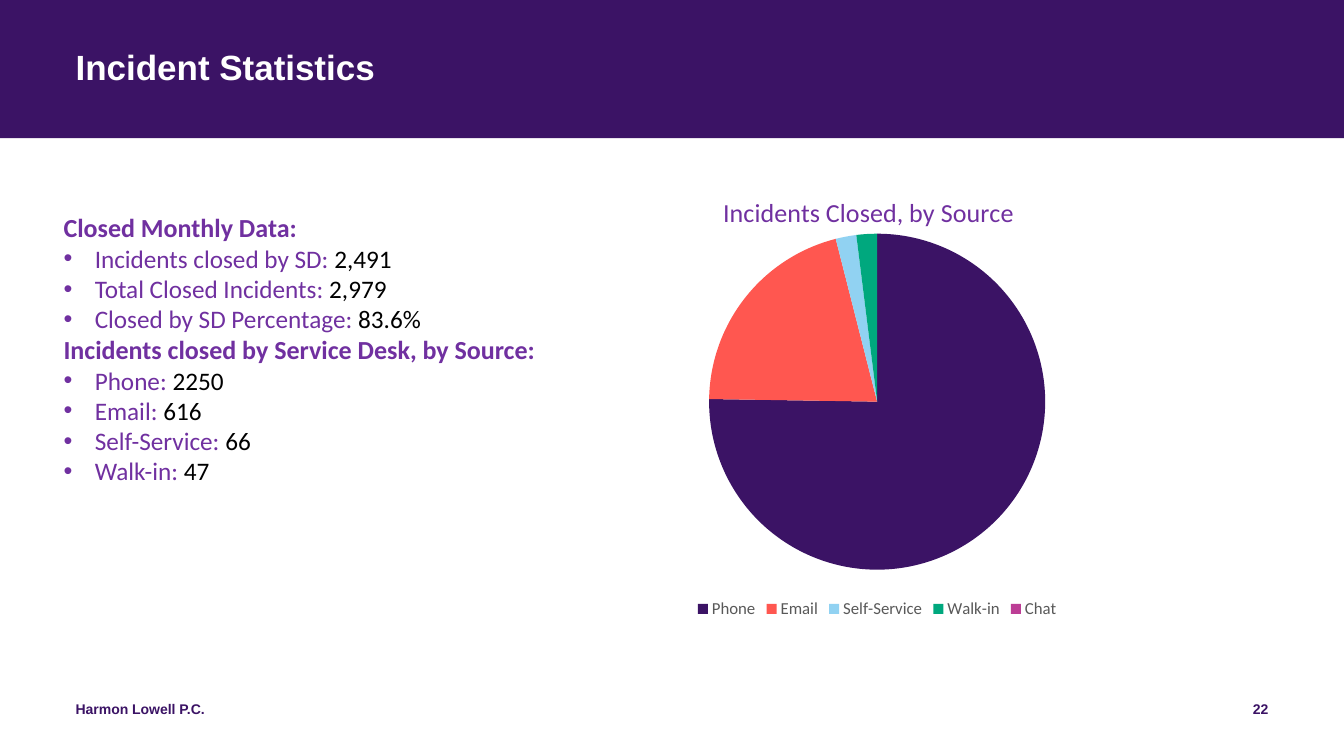
from dataclasses import dataclass

from lxml import etree
from pptx import Presentation
from pptx.chart.data import CategoryChartData
from pptx.dml.color import RGBColor
from pptx.enum import chart as ch, shapes, text
from pptx.oxml import ns
from pptx.util import Inches, Pt

INDIGO, PURPLE, BLACK, WHITE, GREY = "3B1365", "7030A0", "000000", "FFFFFF", "595959"


@dataclass(frozen=True)
class Section:
    heading: str
    items: dict[str, str]


@dataclass(frozen=True)
class Slice:
    source: str
    percent: int
    color: str


@dataclass(frozen=True)
class FooterItem:
    label: str
    left: float
    width: float
    align: text.PP_ALIGN


SECTIONS = [
    Section("Closed Monthly Data:", {
        "Incidents closed by SD": "2,491",
        "Total Closed Incidents": "2,979",
        "Closed by SD Percentage": "83.6%",
    }),
    Section("Incidents closed by Service Desk, by Source:", {
        "Phone": "2250", "Email": "616", "Self-Service": "66", "Walk-in": "47",
    }),
]
SLICES = [
    Slice("Phone", 76, INDIGO),
    Slice("Email", 21, "FF5750"),
    Slice("Self-Service", 2, "91D2F2"),
    Slice("Walk-in", 2, "00A87E"),
    Slice("Chat", 0, "BC3D95"),
]
FOOTER = [
    FooterItem("Harmon Lowell P.C.", 0.75, 4.5, text.PP_ALIGN.LEFT),
    FooterItem("22", 9.58, 3, text.PP_ALIGN.RIGHT),
]


def rgb(color: str) -> RGBColor:
    return RGBColor.from_string(color)


def set_all(target, values: dict) -> None:
    for name, value in values.items():
        setattr(target, name, value)


def style(font, size: float, color: str, name: str = "Calibri", bold: bool = False) -> None:
    set_all(font, {"size": Pt(size), "name": name, "bold": bold})
    font.color.rgb = rgb(color)


def place(sp, left: float, top: float, width: float, height: float) -> None:
    set_all(sp, {"left": Inches(left), "top": Inches(top),
                 "width": Inches(width), "height": Inches(height)})


def frame(tf, inset_x: float = 0, inset_y: float = 0) -> None:
    """Wrap the text, anchor it at the top and set its insets."""
    x, y = Inches(inset_x), Inches(inset_y)
    set_all(tf, {"margin_left": x, "margin_right": x, "margin_top": y, "margin_bottom": y,
                 "word_wrap": True, "vertical_anchor": text.MSO_ANCHOR.TOP,
                 "auto_size": text.MSO_AUTO_SIZE.NONE})


def add_run(p, words: str, size: float, color: str, **font) -> None:
    r = p.add_run()
    r.text = words
    style(r.font, size, color, **font)


def set_bullet(p, char: str = "") -> None:
    """Give the paragraph a hanging bullet, or none."""
    pPr = p._p.get_or_add_pPr()
    indent = Inches(0.31) if char else 0
    pPr.set("marL", str(indent))
    pPr.set("indent", str(-indent))
    if char:
        etree.SubElement(pPr, ns.qn("a:buChar")).set("char", char)
    else:
        etree.SubElement(pPr, ns.qn("a:buNone"))


def set_layout(element, **fractions: float) -> None:
    """Place a chart part by fractions of the chart's size."""
    layout = element.find(ns.qn("c:layout"))
    if layout is None:
        layout = etree.Element(ns.qn("c:layout"))
        tx = element.find(ns.qn("c:tx"))
        element.insert(0 if tx is None else 1, layout)
    manual = etree.SubElement(layout, ns.qn("c:manualLayout"))
    modes = {"xMode": "edge", "yMode": "edge"}
    if "w" in fractions:
        modes = {"layoutTarget": "inner", **modes}
    for tag, value in {**modes, **fractions}.items():
        etree.SubElement(manual, ns.qn(f"c:{tag}")).set("val", str(value))


def add_band(s, title) -> None:
    band = s.shapes.add_shape(shapes.MSO_SHAPE.RECTANGLE, 0, 0, Inches(13.33), Inches(1.37))
    band.shadow.inherit = False
    band.fill.solid()
    band.fill.fore_color.rgb = rgb(INDIGO)
    band.line.fill.background()
    title._element.addprevious(band._element)


def fill_title(sp) -> None:
    place(sp, 0.75, 0.5, 11.83, 0.81)
    frame(sp.text_frame)
    p = sp.text_frame.paragraphs[0]
    set_all(p, {"alignment": text.PP_ALIGN.LEFT, "line_spacing": 0.9})
    add_run(p, "Incident Statistics", 25, WHITE, name="Arial", bold=True)


def fill_body(sp) -> None:
    place(sp, 0.53, 2.05, 4.95, 3.12)
    tf = sp.text_frame
    frame(tf, 0.1, 0.05)
    p = tf.paragraphs[0]
    for section in SECTIONS:
        if p.runs:
            p = tf.add_paragraph()
        p.space_before = Pt(0)
        set_bullet(p)
        add_run(p, section.heading, 18.6, PURPLE, bold=True)
        for label, value in section.items.items():
            p = tf.add_paragraph()
            p.space_before = Pt(0)
            set_bullet(p, "•")
            add_run(p, f"{label}: ", 18, PURPLE)
            add_run(p, value, 18, BLACK)


def add_pie(s) -> None:
    data = CategoryChartData()
    data.categories = [part.source for part in SLICES]
    data.add_series("Series 1", [part.percent for part in SLICES])
    chart = s.shapes.add_chart(ch.XL_CHART_TYPE.PIE, Inches(4.07), Inches(1.61),
                               Inches(9.26), Inches(4.57), data).chart
    style(chart.font, 10, BLACK)

    chart.has_title = True
    add_run(chart.chart_title.text_frame.paragraphs[0],
            "Incidents Closed, by Source", 18.6, PURPLE)
    set_layout(chart.chart_title._element, x=0.33, y=0.06)

    chart.has_legend = True
    set_all(chart.legend, {"position": ch.XL_LEGEND_POSITION.BOTTOM, "include_in_layout": False})
    style(chart.legend.font, 12, GREY)

    plot = chart.plots[0]
    plot.vary_by_categories = True
    for i, part in enumerate(SLICES):
        fill = plot.series[0].points[i].format.fill
        fill.solid()
        fill.fore_color.rgb = rgb(part.color)
    set_layout(chart._chartSpace.chart.plotArea, x=0.32, y=0.15, w=0.36, h=0.74)


def add_footer(s) -> None:
    for item in FOOTER:
        sp = s.shapes.add_textbox(Inches(item.left), Inches(6.95), Inches(item.width), Inches(0.4))
        frame(sp.text_frame)
        p = sp.text_frame.paragraphs[0]
        set_all(p, {"alignment": item.align, "space_after": Pt(6)})
        add_run(p, item.label, 10, INDIGO, name="Arial", bold=True)


def main() -> None:
    prs = Presentation()
    set_all(prs, {"slide_width": Inches(13.33), "slide_height": Inches(7.5)})
    s = prs.slides.add_slide(prs.slide_layouts[1])
    title, body = s.placeholders
    add_band(s, title)
    fill_title(title)
    add_pie(s)
    fill_body(body)
    add_footer(s)
    prs.save("out.pptx")


if __name__ == "__main__":
    main()
